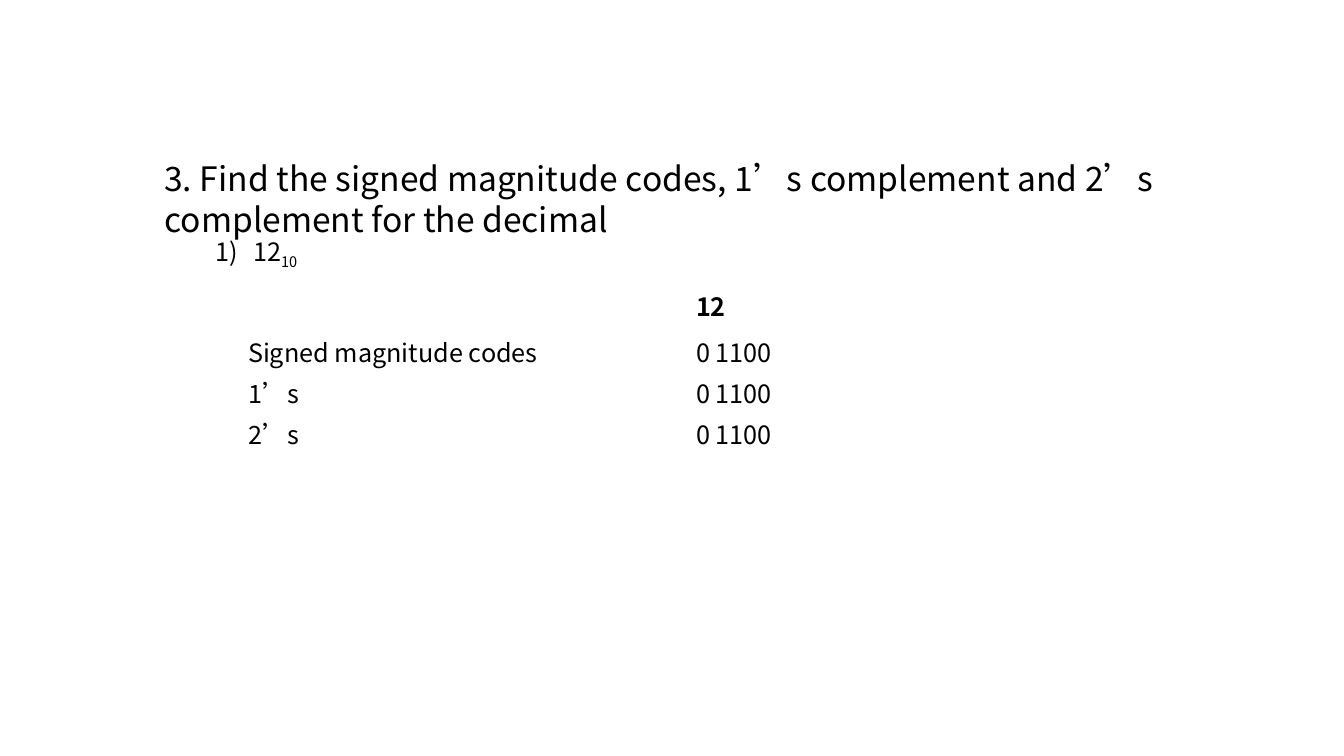
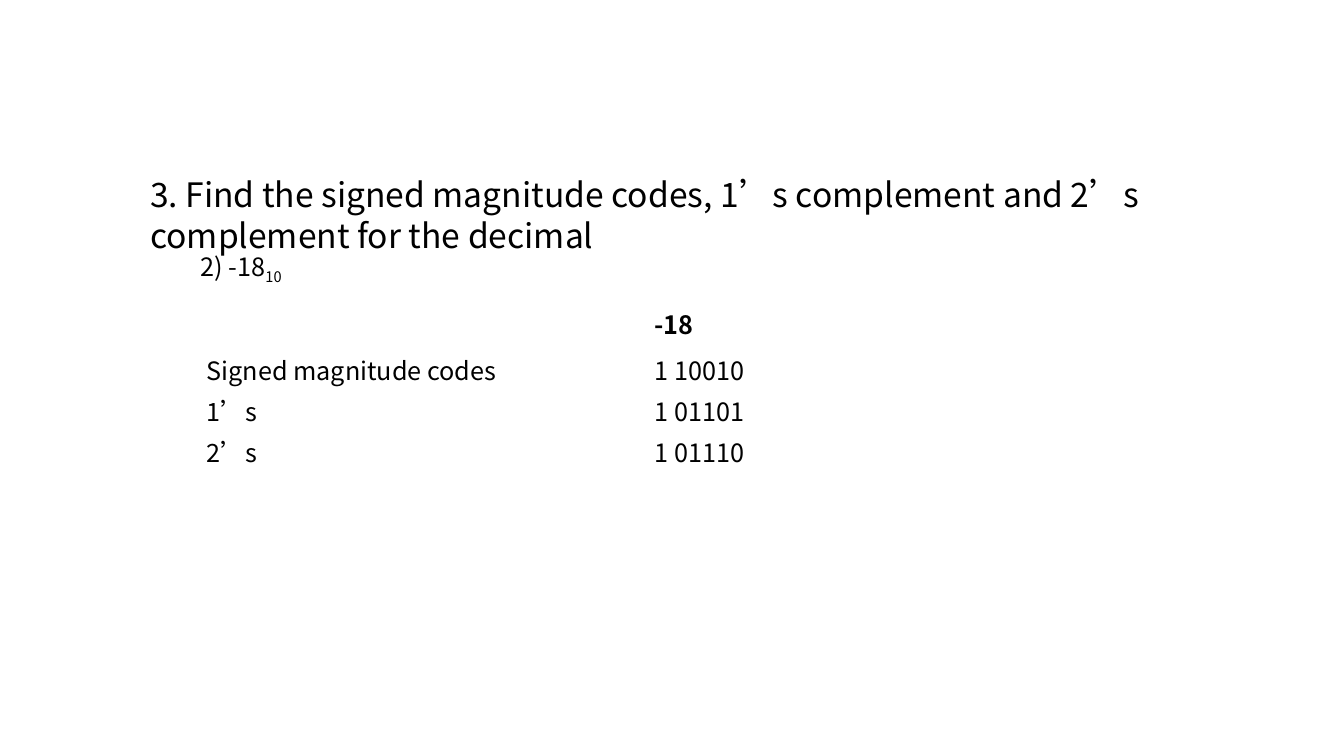
"""Build two exercise slides on signed binary codes."""
from dataclasses import dataclass

import lxml.etree
import pptx
import pptx.dml.color
import pptx.enum.text
import pptx.oxml.ns
import pptx.presentation
import pptx.shapes.autoshape
import pptx.slide
import pptx.table
import pptx.text.text
import pptx.util

Pt = pptx.util.Pt
BLACK = pptx.dml.color.RGBColor(0, 0, 0)
WHITE = pptx.dml.color.RGBColor(255, 255, 255)
FONT = "Noto Sans CJK SC"
QUESTION = "3. Find the signed magnitude codes, 1’s complement and 2’s complement for the decimal"
ROW_LABELS = ("", "Signed magnitude codes", "1’s", "2’s")
TITLE_SIZE, TEXT_SIZE = 24, 18
TITLE_LINE, TEXT_LINE = 29.3, 22
TITLE_LINES = 2
INSET = 3.6
COLUMN_WIDTH = 320
ROW_HEIGHT = 29.3


@dataclass(frozen=True)
class Exercise:
    """One decimal number with its codes and the places of its parts."""

    left: float
    top: float
    width: float
    table_left: float
    table_top: float
    item: str
    margin: float
    indent: float
    numbered: bool
    values: tuple[str, ...]


EXERCISES = (
    Exercise(110.2, 109, 759.6, 170, 203, "12", 63.4, -27, True,
             ("12", "0 1100", "0 1100", "0 1100")),
    Exercise(100.1, 119.8, 762.5, 140.4, 216, "2) -18", 36, 0, False,
             ("-18", "1 10010", "1 01101", "1 01110")),
)


def add_element(parent: lxml.etree._Element, tag: str, **attributes: str) -> lxml.etree._Element:
    """Append a drawing element with its attributes."""
    return lxml.etree.SubElement(parent, pptx.oxml.ns.qn(tag), attributes)


def style_para(para: pptx.text.text._Paragraph, size: float, line: float, bold: bool = False) -> None:
    """Give a paragraph the shared font and a fixed line height."""
    para.alignment = pptx.enum.text.PP_ALIGN.LEFT
    para.line_spacing = Pt(line)
    para.space_before = para.space_after = Pt(0)
    font = para.font
    font.size, font.bold, font.name = Pt(size), bold, FONT
    font.color.rgb = BLACK
    add_element(para._p.pPr.find(pptx.oxml.ns.qn("a:defRPr")), "a:ea", typeface=FONT)


def place_text(box: pptx.shapes.autoshape.Shape, left: float, top: float,
               width: float, height: float) -> pptx.text.text.TextFrame:
    """Move a placeholder and return its top-anchored text frame."""
    box.left, box.top, box.width, box.height = Pt(left), Pt(top), Pt(width), Pt(height)
    frame = box.text_frame
    frame.word_wrap = True
    frame.auto_size = pptx.enum.text.MSO_AUTO_SIZE.NONE
    frame.vertical_anchor = pptx.enum.text.MSO_ANCHOR.TOP
    frame.margin_top = frame.margin_bottom = Pt(INSET)
    return frame


def add_question(page: pptx.slide.Slide, exercise: Exercise) -> None:
    """Fill the title with the question and the body with the number."""
    title_height = TITLE_LINES * TITLE_LINE
    title = place_text(page.shapes.title, exercise.left, exercise.top,
                       exercise.width, title_height + 2 * INSET)
    title.text = QUESTION
    style_para(title.paragraphs[0], TITLE_SIZE, TITLE_LINE)

    body = place_text(page.placeholders[1], exercise.left, exercise.top + title_height,
                      exercise.width, TEXT_LINE + 2 * INSET)
    para = body.paragraphs[0]
    para.level = 1
    properties = para._p.get_or_add_pPr()
    properties.set("marL", str(Pt(exercise.margin)))
    properties.set("indent", str(Pt(exercise.indent)))
    if exercise.numbered:
        add_element(properties, "a:buFont", typeface=FONT)
        add_element(properties, "a:buAutoNum", type="arabicParenR")
    else:
        add_element(properties, "a:buNone")
    style_para(para, TEXT_SIZE, TEXT_LINE)
    para.add_run().text = exercise.item
    base = para.add_run()
    base.text = "10"
    base._r.get_or_add_rPr().set("baseline", "-25000")


def style_cell(cell: pptx.table._Cell, text: str, header: bool) -> None:
    """Write a cell with white borders and no fill."""
    cell.text = text
    cell.margin_top, cell.margin_bottom = Pt(6), Pt(1)
    style_para(cell.text_frame.paragraphs[0], TEXT_SIZE, TEXT_LINE, header)
    properties = cell._tc.get_or_add_tcPr()
    for side in "LRTB":
        width = 3 if header and side == "B" else 1
        border = add_element(properties, f"a:ln{side}", w=str(Pt(width)))
        add_element(add_element(border, "a:solidFill"), "a:srgbClr", val=str(WHITE))
    cell.fill.background()


def add_codes(page: pptx.slide.Slide, exercise: Exercise) -> None:
    """Add the table of codes."""
    count = len(ROW_LABELS)
    table = page.shapes.add_table(
        count, 2, Pt(exercise.table_left), Pt(exercise.table_top),
        Pt(2 * COLUMN_WIDTH), Pt(count * ROW_HEIGHT)).table
    table.first_row = table.horz_banding = False
    for column in table.columns:
        column.width = Pt(COLUMN_WIDTH)
    for index, texts in enumerate(zip(ROW_LABELS, exercise.values)):
        table.rows[index].height = Pt(ROW_HEIGHT)
        for column, text in enumerate(texts):
            style_cell(table.cell(index, column), text, index == 0)


def main() -> None:
    """Build and save the deck."""
    deck = pptx.Presentation()
    deck.slide_width, deck.slide_height = Pt(960), Pt(540)
    for exercise in EXERCISES:
        page = deck.slides.add_slide(deck.slide_layouts[1])
        add_question(page, exercise)
        add_codes(page, exercise)
    deck.save("out.pptx")


if __name__ == "__main__":
    main()
